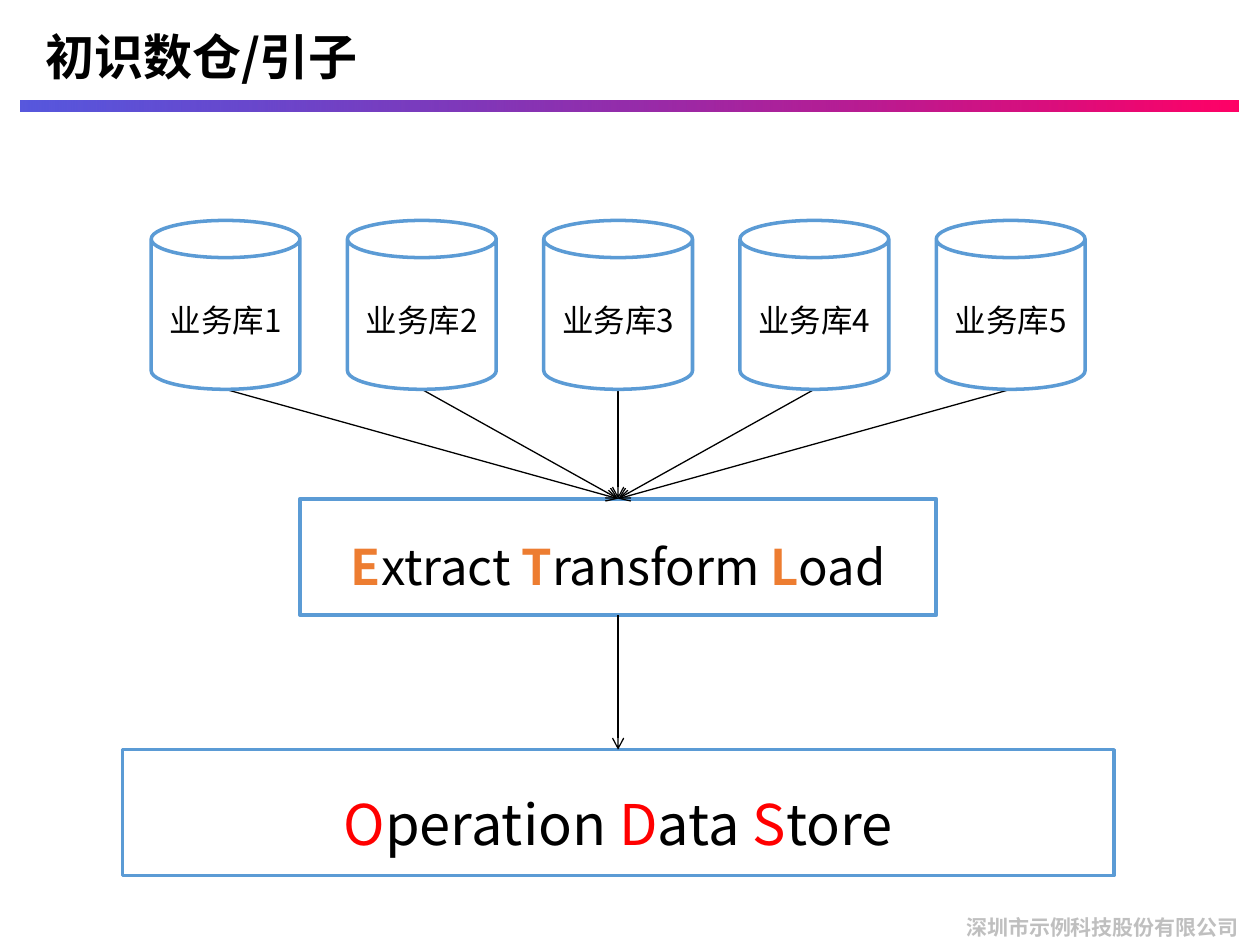
from lxml.etree import SubElement
from pptx import Presentation
from pptx.dml.color import RGBColor
from pptx.enum.shapes import MSO_CONNECTOR, MSO_SHAPE
from pptx.enum.text import MSO_ANCHOR, MSO_AUTO_SIZE, PP_ALIGN
from pptx.oxml.ns import qn
from pptx.util import Pt

FONT = "Noto Sans CJK SC"
BLACK = RGBColor(0x00, 0x00, 0x00)
WHITE = RGBColor(0xFF, 0xFF, 0xFF)
GRAY = RGBColor(0xBF, 0xBF, 0xBF)
RED = RGBColor(0xFF, 0x00, 0x00)
ORANGE = RGBColor(0xED, 0x7D, 0x31)
OUTLINE = RGBColor(0x5B, 0x9B, 0xD5)
BAR_START = RGBColor(0x00, 0x00, 0xCC)
BAR_END = RGBColor(0xFF, 0x00, 0x66)

CAN_LEFT, CAN_TOP, CAN_WIDTH, CAN_HEIGHT = 86.4, 126, 85, 96.5
CAN_PITCH = 112.15
CAN_COUNT = 5
CENTER = CAN_LEFT + CAN_PITCH * (CAN_COUNT - 1) / 2 + CAN_WIDTH / 2


class SlideBuilder:
    def __init__(self, slide):
        self.slide = slide

    def style_run(self, run, size, color=BLACK, bold=False):
        run.font.name = FONT
        run.font.size = Pt(size)
        run.font.bold = bold
        run.font.color.rgb = color
        SubElement(run.font._element, qn("a:ea"), typeface=FONT)

    def title(self, text, left, top, width, height):
        shape = self.slide.shapes.title
        shape.left, shape.top = Pt(left), Pt(top)
        shape.width, shape.height = Pt(width), Pt(height)
        frame = shape.text_frame
        frame.text = text
        frame.auto_size = MSO_AUTO_SIZE.NONE
        frame.vertical_anchor = MSO_ANCHOR.MIDDLE
        frame.margin_left = Pt(14.4)
        paragraph = frame.paragraphs[0]
        paragraph.alignment = PP_ALIGN.LEFT
        self.style_run(paragraph.runs[0], 28, bold=True)

    def gradient_bar(self, left, top, width, height):
        shape = self.slide.shapes.add_shape(
            MSO_SHAPE.RECTANGLE, Pt(left), Pt(top), Pt(width), Pt(height))
        shape.shadow.inherit = False
        shape.line.fill.background()
        shape.fill.gradient()
        shape.fill.gradient_angle = 0
        for stop, color in zip(shape.fill.gradient_stops, (BAR_START, BAR_END)):
            stop.color.rgb = color
        first_color = next(shape.element.iter(qn("a:srgbClr")))
        SubElement(first_color, qn("a:alpha"), val="66000")

    def footer(self, text, left, top, width, height):
        shape = self.slide.shapes.add_textbox(
            Pt(left), Pt(top), Pt(width), Pt(height))
        frame = shape.text_frame
        frame.word_wrap = True
        frame.text = text
        self.style_run(frame.paragraphs[0].runs[0], 12, GRAY, bold=True)

    def outlined_shape(self, kind, left, top, width, height, parts, size):
        """Add a white shape; parts are (text, color, bold) runs on one line."""
        shape = self.slide.shapes.add_shape(
            kind, Pt(left), Pt(top), Pt(width), Pt(height))
        shape.shadow.inherit = False
        shape.fill.solid()
        shape.fill.fore_color.rgb = WHITE
        shape.line.color.rgb = OUTLINE
        shape.line.width = Pt(2)
        shape.text_frame.vertical_anchor = MSO_ANCHOR.MIDDLE
        paragraph = shape.text_frame.paragraphs[0]
        paragraph.alignment = PP_ALIGN.CENTER
        paragraph.line_spacing = 1.3
        for text, color, bold in parts:
            run = paragraph.add_run()
            run.text = text
            self.style_run(run, size, color, bold)
        return shape

    def centered_box(self, top, width, height, words, size, accent, bold):
        """Add a box whose words start with an accented initial."""
        parts = []
        for index, word in enumerate(words):
            gap = " " if index < len(words) - 1 else ""
            parts += [(word[0], accent, bold), (word[1:] + gap, BLACK, False)]
        return self.outlined_shape(MSO_SHAPE.RECTANGLE, CENTER - width / 2, top,
                                   width, height, parts, size)

    def arrow(self, x, y, target, source=None):
        """Draw an arrow from a point, or a source's bottom, to a target's top."""
        connector = self.slide.shapes.add_connector(
            MSO_CONNECTOR.STRAIGHT, Pt(x), Pt(y), Pt(CENTER), target.top)
        if source is not None:
            connector.begin_connect(source, 2)
        connector.end_connect(target, 0)
        connector.line.color.rgb = BLACK
        connector.line.width = Pt(0.75)
        SubElement(connector.line._get_or_add_ln(), qn("a:tailEnd"), type="arrow")
        SubElement(connector.element.spPr, qn("a:effectLst"))


def main():
    presentation = Presentation()
    presentation.slide_width, presentation.slide_height = Pt(720), Pt(540)
    slide = presentation.slides.add_slide(presentation.slide_layouts[5])
    builder = SlideBuilder(slide)

    builder.gradient_bar(12, 57.3, 696, 6.2)
    builder.footer("深圳市示例科技股份有限公司", 545, 519, 178, 24)
    builder.title("初识数仓/引子", 11.5, 0, 593, 63.4)

    store = builder.centered_box(
        428.4, 566.6, 72, ("Operation", "Data", "Store"), 32, RED, False)
    etl = builder.centered_box(
        285, 363.6, 66.6, ("Extract", "Transform", "Load"), 28, ORANGE, True)

    can_lefts = [CAN_LEFT + CAN_PITCH * index for index in range(CAN_COUNT)]
    for left in can_lefts:
        builder.arrow(left + CAN_WIDTH / 2, CAN_TOP + CAN_HEIGHT, etl)
    builder.arrow(CENTER, 351.6, store, source=etl)
    for number, left in enumerate(can_lefts, start=1):
        builder.outlined_shape(MSO_SHAPE.CAN, left, CAN_TOP, CAN_WIDTH, CAN_HEIGHT,
                               [(f"业务库{number}", BLACK, False)], 18)

    presentation.save("out.pptx")


if __name__ == "__main__":
    main()
